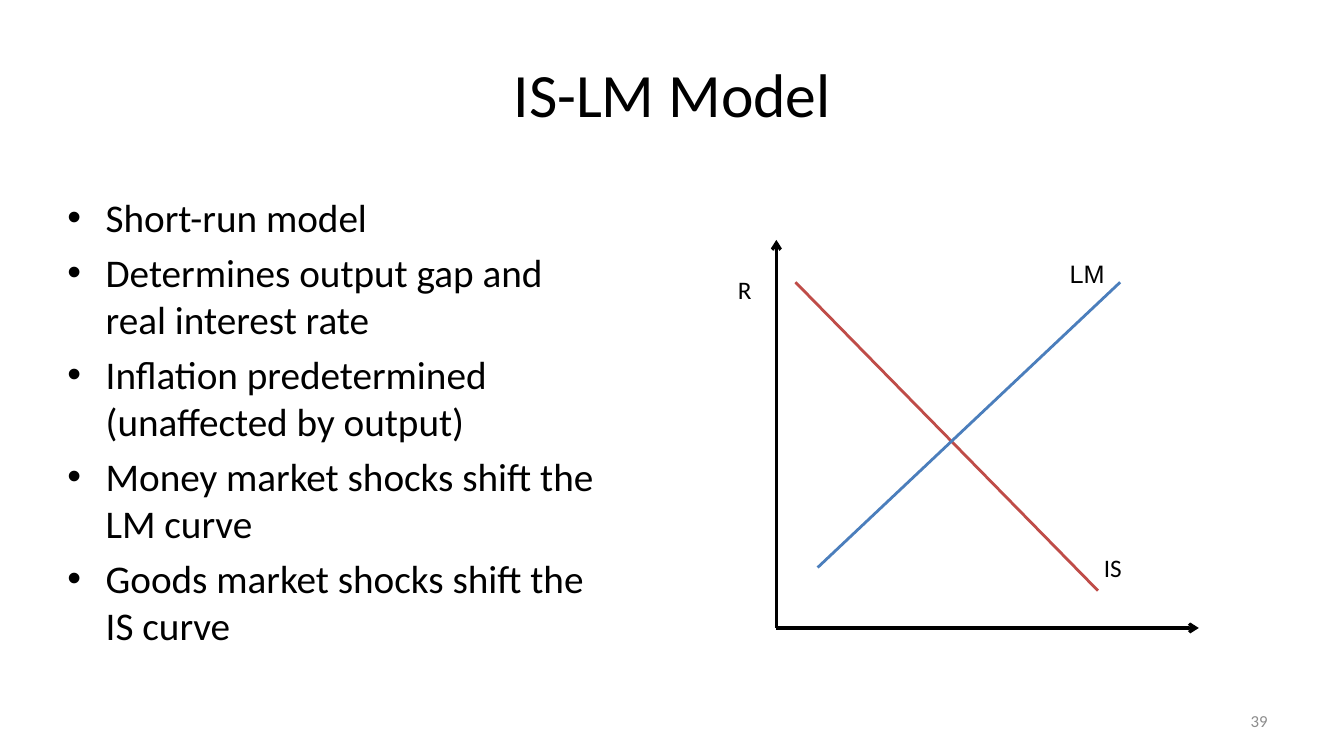
"""Build the IS-LM model slide with bullets and a curve diagram."""
from lxml import etree
from pptx import Presentation
from pptx import util as u
from pptx.dml.color import RGBColor
from pptx.enum import shapes, text
from pptx.oxml.ns import qn

THEME = {
    "font": "Calibri", "label_font": "Arial",
    "black": "000000", "grey": "8C8C8C", "red": "BF4C48", "blue": "4B7EBC",
    "title": 44, "body": 28, "label": 18, "number": 12,
    "axis": 2.25, "curve": 2,
}
TITLE = "IS-LM Model"
BULLETS = [
    "Short-run model",
    "Determines output gap and\vreal interest rate",
    "Inflation predetermined (unaffected by output)",
    "Money market shocks shift the LM curve",
    "Goods market shocks shift the\vIS curve",
]
NUMBER = "39"
ORIGIN = (7.7, 6.23)
AXIS_ENDS = [(7.7, 2.38), (11.89, 6.23)]
CURVES = [
    ((7.89, 2.8), (10.89, 5.86), "red"),
    ((8.11, 5.63), (11.11, 2.8), "blue"),
]
LABELS = [
    ("IS", (10.85, 5.43, 0.38, 0.4), "font"),
    ("R", (7.22, 2.67, 0.38, 0.4), "font"),
    ("LM", (10.51, 2.51, 0.55, 0.4), "label_font"),
]
INDENT = 0.38


def add_text(page, lines, place, size, color="black", font="font", align=text.PP_ALIGN.LEFT,
             anchor=text.MSO_ANCHOR.TOP, wrap=True, bullet=False):
    box = page.shapes.add_textbox(*(u.Inches(value) for value in place))
    frame = box.text_frame
    frame.word_wrap = wrap
    frame.vertical_anchor = anchor
    for index, line in enumerate(lines):
        para = frame.paragraphs[0] if index == 0 else frame.add_paragraph()
        para.text = line
        para.alignment = align
        if bullet:
            props = para._p.get_or_add_pPr()
            props.set("marL", str(u.Inches(INDENT)))
            props.set("indent", str(-u.Inches(INDENT)))
            etree.SubElement(props, qn("a:buFont")).set("typeface", THEME["label_font"])
            etree.SubElement(props, qn("a:buChar")).set("char", "•")
            if index:
                para.space_before = u.Pt(THEME[size] * 0.2)
        para.font.name = THEME[font]
        para.font.size = u.Pt(THEME[size])
        para.font.color.rgb = RGBColor.from_string(THEME[color])


def add_line(page, start, end, color, width, arrow=False):
    line = page.shapes.add_connector(
        shapes.MSO_CONNECTOR.STRAIGHT, *(u.Inches(value) for value in start + end))
    line.line.color.rgb = RGBColor.from_string(THEME[color])
    line.line.width = u.Pt(THEME[width])
    if arrow:
        etree.SubElement(line.line._get_or_add_ln(), qn("a:tailEnd")).set("type", "arrow")
    etree.SubElement(line._element.spPr, qn("a:effectLst"))


def main():
    deck = Presentation()
    deck.slide_width, deck.slide_height = u.Inches(13.33), u.Inches(7.5)
    page = deck.slides.add_slide(deck.slide_layouts[6])
    middle = text.MSO_ANCHOR.MIDDLE
    add_text(page, [TITLE], (0.67, 0.3, 12, 1.25), "title",
             align=text.PP_ALIGN.CENTER, anchor=middle)
    add_text(page, BULLETS, (0.57, 1.87, 5.77, 5.33), "body", bullet=True)
    add_text(page, [NUMBER], (9.56, 6.95, 3.11, 0.4), "number", "grey",
             align=text.PP_ALIGN.RIGHT, anchor=middle)
    for end in AXIS_ENDS:
        add_line(page, ORIGIN, end, "black", "axis", arrow=True)
    for start, end, color in CURVES:
        add_line(page, start, end, color, "curve")
    for label, place, font in LABELS:
        add_text(page, [label], place, "label", font=font, wrap=False)
    deck.save("out.pptx")


if __name__ == "__main__":
    main()
